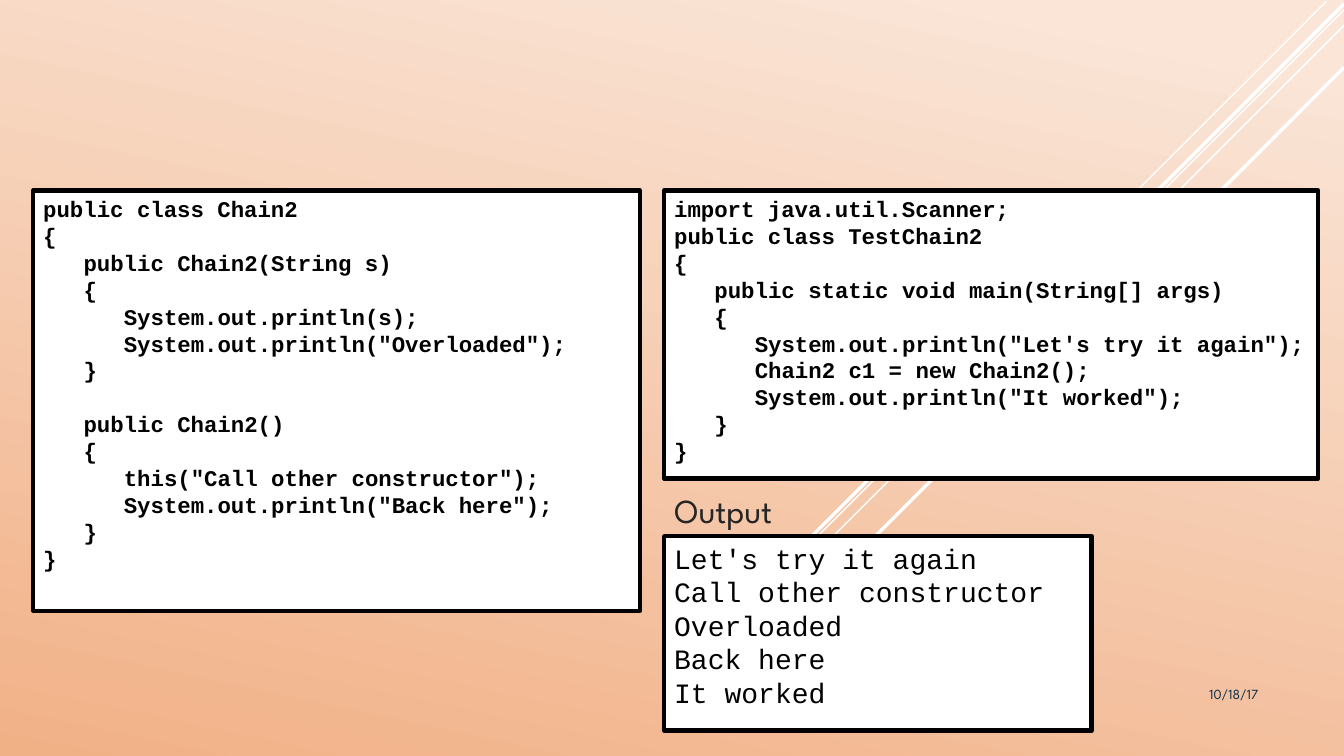
import lxml.etree
import pptx
import pptx.dml.color
import pptx.enum.shapes
import pptx.enum.text
import pptx.oxml.ns
import pptx.util

Cm = pptx.util.Cm
Pt = pptx.util.Pt
ANCHOR = pptx.enum.text.MSO_ANCHOR
ALIGN = pptx.enum.text.PP_ALIGN

COLOURS = {
    "background_light": "FAE5D7",
    "background_dark": "F1B187",
    "stripe": "FFFFFF",
    "panel": "FFFFFF",
    "code": "000000",
    "heading": "262626",
    "date": "0A304A",
}
CODE_FONT = "Courier New"
TEXT_FONT = "League Spartan"

# Start x, start y, length along each axis (cm), line width (pt)
STRIPES = [
    (33.43, 0.03, 10.57, 1),
    (33.87, 0.25, 16.9, 1),
    (33.87, 0.64, 13.77, 1),
    (33.87, 0.1, 13.5, 2.5),
    (33.87, 1.7, 12.07, 2.5),
]
TOP = 4.8
RIGHT_COLUMN = 16.74

CHAIN_CLASS = """\
public class Chain2
{
   public Chain2(String s)
   {
      System.out.println(s);
      System.out.println("Overloaded");
   }

   public Chain2()
   {
      this("Call other constructor");
      System.out.println("Back here");
   }
}"""

TEST_CLASS = """\
import java.util.Scanner;
public class TestChain2
{
   public static void main(String[] args)
   {
      System.out.println("Let's try it again");
      Chain2 c1 = new Chain2();
      System.out.println("It worked");
   }
}"""

OUTPUT = """\
Let's try it again
Call other constructor
Overloaded
Back here
It worked"""


def rgb(name):
    return pptx.dml.color.RGBColor.from_string(COLOURS[name])


class SlideBuilder:
    def __init__(self, slide):
        self.slide = slide

    def background(self):
        fill = self.slide.background.fill
        fill.gradient()
        fill.gradient_angle = 360 - 102
        stops = [(0.07, "background_light"), (1, "background_dark")]
        for stop, (position, colour) in zip(fill.gradient_stops, stops):
            stop.position = position
            stop.color.rgb = rgb(colour)

    def stripe(self, x, y, length, width):
        """Draw a diagonal running down to the left at 45 degrees."""
        line = self.slide.shapes.add_connector(
            pptx.enum.shapes.MSO_CONNECTOR.STRAIGHT,
            Cm(x), Cm(y), Cm(x - length), Cm(y + length))
        line.line.color.rgb = rgb("stripe")
        line.line.width = Pt(width)
        lxml.etree.SubElement(line._element.spPr, pptx.oxml.ns.qn("a:effectLst"))

    def run(self, paragraph, text, size, font, colour, bold=False):
        run = paragraph.add_run()
        run.text = text
        run.font.size = Pt(size)
        run.font.name = font
        run.font.bold = bold
        run.font.color.rgb = rgb(colour)

    def code_panel(self, box, code, size, bold=False):
        """Turn leading spaces into indents and blank lines into spacing."""
        panel = self.slide.shapes.add_shape(
            pptx.enum.shapes.MSO_SHAPE.RECTANGLE, *map(Cm, box))
        panel.shadow.inherit = False
        panel.fill.solid()
        panel.fill.fore_color.rgb = rgb("panel")
        panel.line.color.rgb = rgb("code")
        panel.line.width = Pt(3)
        frame = panel.text_frame
        frame.word_wrap = True
        frame.vertical_anchor = ANCHOR.TOP

        line_height = Pt(1.2 * size)
        character_width = Pt(0.6 * size)
        paragraph = frame.paragraphs[0]
        gap = 0
        for number, line in enumerate(code.splitlines()):
            statement = line.lstrip()
            if not statement:
                gap += line_height
                continue
            if number:
                paragraph = frame.add_paragraph()
            paragraph.alignment = ALIGN.LEFT
            paragraph.line_spacing = line_height
            paragraph.space_before = gap
            indent = (len(line) - len(statement)) * character_width
            paragraph._p.get_or_add_pPr().set("marL", str(indent))
            self.run(paragraph, statement, size, CODE_FONT, "code", bold)
            gap = 0

    def label(self, shape, text, size, colour, alignment, anchor):
        frame = shape.text_frame
        frame.word_wrap = True
        frame.auto_size = pptx.enum.text.MSO_AUTO_SIZE.NONE
        frame.vertical_anchor = anchor
        paragraph = frame.paragraphs[0]
        paragraph.alignment = alignment
        self.run(paragraph, text, size, TEXT_FONT, colour)

    def title(self, box, text):
        title = self.slide.shapes.title
        title.left, title.top, title.width, title.height = map(Cm, box)
        self.label(title, text, 24, "heading", ALIGN.LEFT, ANCHOR.MIDDLE)

    def date(self, box, text):
        date = self.slide.shapes.add_textbox(*map(Cm, box))
        self.label(date, text, 10, "date", ALIGN.RIGHT, ANCHOR.TOP)


def main():
    presentation = pptx.Presentation()
    presentation.slide_width = Cm(33.87)
    presentation.slide_height = Cm(19.05)
    title_only = presentation.slide_layouts[5]
    builder = SlideBuilder(presentation.slides.add_slide(title_only))

    builder.background()
    for stripe in STRIPES:
        builder.stripe(*stripe)
    builder.code_panel((0.84, TOP, 15.29, 10.59), CHAIN_CLASS, 16, bold=True)
    builder.code_panel((RIGHT_COLUMN, TOP, 16.48, 7.26), TEST_CLASS, 16, bold=True)
    builder.title((RIGHT_COLUMN, 12.17, 4.24, 1.37), "Output")
    builder.code_panel((RIGHT_COLUMN, 13.51, 10.77, 4.9), OUTPUT, 20)
    builder.date((27.51, 17.15, 4.45, 1.02), "10/18/17")

    presentation.save("out.pptx")


if __name__ == "__main__":
    main()
